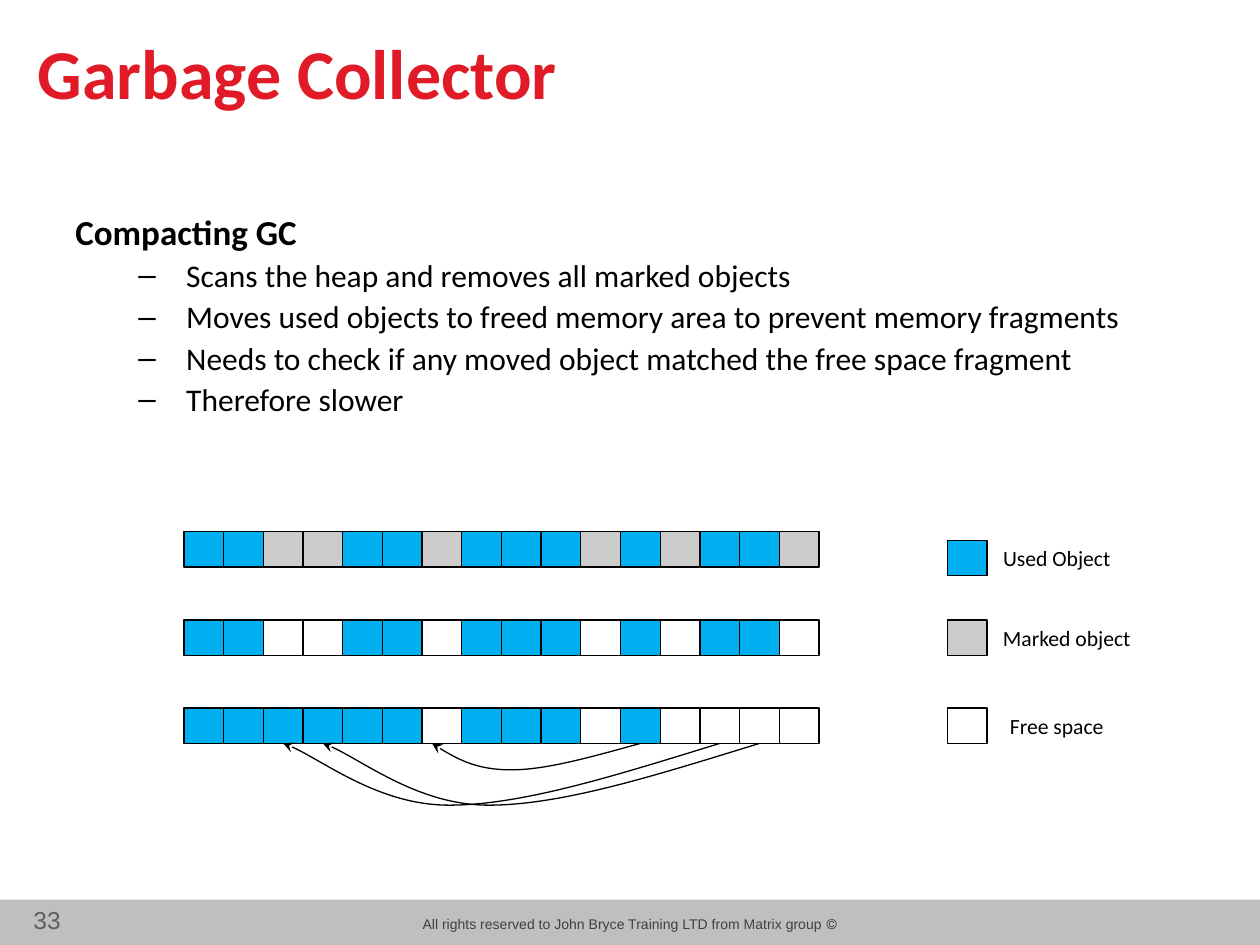
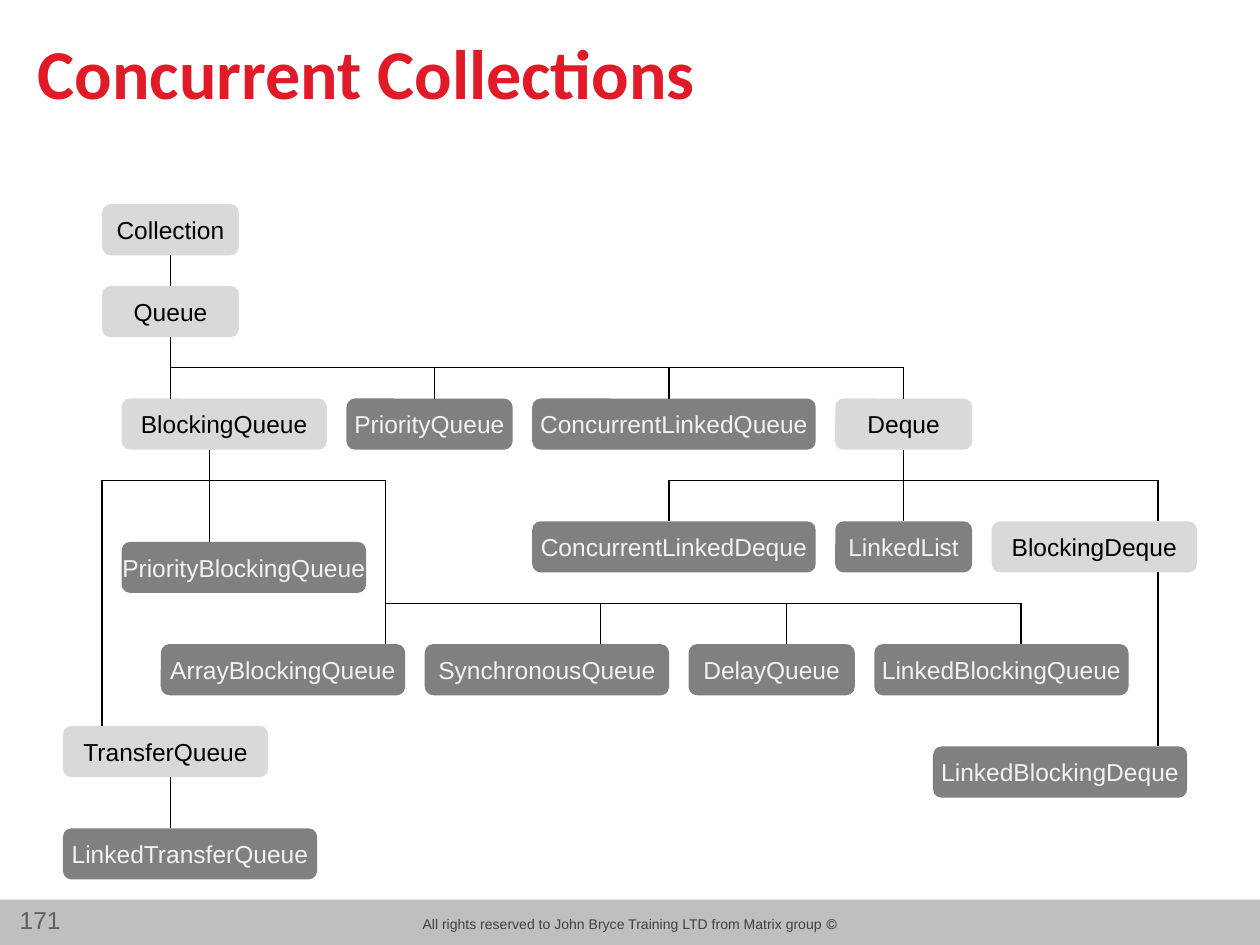
from lxml.etree import SubElement
from pptx import Presentation
from pptx.dml.color import RGBColor
from pptx.enum.shapes import MSO_CONNECTOR as Wire, MSO_SHAPE as Preset
from pptx.enum.text import MSO_ANCHOR as Anchor, MSO_AUTO_SIZE as Fit, PP_ALIGN as Align
from pptx.oxml.ns import qn
from pptx.util import Inches, Pt

COLOURS = {
    "title": "E01A26", "ink": "000000", "band": "BFBFBF", "rights": "404040",
    "number": "606060", "used": "00B0F0", "marked": "CCCCCC", "free": "FFFFFF",
    "interface": "D9D9D9", "class": "808080", "class_text": "F2F2F2",
}
RIGHTS = "© All rights reserved to John Bryce Training LTD from Matrix group"
BOTTOM, TOP = 2, 0

HEAP_LEFT, HEAP_TOP, HEAP_STEP = 1.46, 4.22, 0.7
CELL, CELL_HEIGHT = 5.04 / 16, 0.28
STATES = {"U": "used", "M": "marked", "F": "free"}
HEAP_MARKED = "UUMMUUMUUUMUMUUM"
HEAPS = [HEAP_MARKED, HEAP_MARKED.replace("M", "F"), "UUUUUUFUUUFUFFFF"]
LEGEND = [("used", "Used Object", 4.29, 8.23),
          ("marked", "Marked object", 4.92, 8.31),
          ("free", "Free space", 5.62, 8.23)]
MOVES = [(13.5, 2.5, 0.49, (0.07, 0.16)),
         (14.5, 3.5, 0.49, (0.07, 0.16)),
         (11.5, 6.25, 0.21, (0.1, 0.52))]
GC_POINTS = [
    "Scans the heap and removes all marked objects",
    "Moves used objects to freed memory area to prevent memory fragments",
    "Needs to check if any moved object matched the free space fragment",
    "Therefore slower",
]

TREE_LEFT, TREE_TOP = 0.5, 1.62
COLUMN, ROW = 9 / 116, 5.36 / 66
NODE_ROWS = 5
INTERFACES = [
    ("Collection", 4, 0, 14), ("Queue", 4, 8, 14), ("BlockingQueue", 6, 19, 21),
    ("Deque", 79, 19, 14), ("BlockingDeque", 95, 31, 21), ("TransferQueue", 0, 51, 21),
]
CLASSES = [
    ("PriorityQueue", 29, 19, 17), ("ConcurrentLinkedQueue", 48, 19, 29),
    ("ConcurrentLinkedDeque", 48, 31, 29), ("LinkedList", 79, 31, 14),
    ("PriorityBlockingQueue", 6, 33, 25), ("ArrayBlockingQueue", 10, 43, 25),
    ("SynchronousQueue", 37, 43, 25), ("DelayQueue", 64, 43, 17),
    ("LinkedBlockingQueue", 83, 43, 26), ("LinkedBlockingDeque", 89, 53, 26),
    ("LinkedTransferQueue", 0, 61, 26),
]
BRANCHES = [
    (("Collection", BOTTOM), ("Queue", TOP)),
    (("Queue", BOTTOM), (11, 19)),
    ((11, 16), (86, 16)),
    ((38, 16), (38, 19)),
    ((62, 16), (62, 19)),
    ((86, 16), ("Deque", TOP)),
    ((15, 24), (15, 33)),
    ((4, 27), (33, 27)),
    ((4, 27), (4, 51)),
    ((33, 27), (33, 43)),
    (("Deque", BOTTOM), ("LinkedList", TOP)),
    ((62, 27), (112, 27)),
    ((62, 27), (62, 31)),
    ((112, 27), (112, 31)),
    ((112, 36), (112, 53)),
    ((33, 39), (98, 39)),
    ((55, 39), (55, 43)),
    ((74, 39), (74, 43)),
    ((98, 39), (98, 43)),
    ((11, 56), (11, 61)),
]


def colour(name):
    """Return the named colour."""
    return RGBColor.from_string(COLOURS[name])


def style(paragraph, font, size, ink="ink", bold=False, align=Align.LEFT):
    """Format a whole paragraph."""
    paragraph.alignment = align
    paragraph.font.name = font
    paragraph.font.size = Pt(size)
    paragraph.font.bold = bold
    paragraph.font.color.rgb = colour(ink)


def draw_line(line):
    """Make a line thin and black."""
    line.color.rgb = colour("ink")
    line.width = Pt(0.75)


def add_block(slide, preset, box, fill, outlined=False):
    """Add a filled preset shape, with a thin black line if outlined."""
    block = slide.shapes.add_shape(preset, *map(Inches, box))
    block.shadow.inherit = False
    block.fill.solid()
    block.fill.fore_color.rgb = colour(fill)
    if outlined:
        draw_line(block.line)
    else:
        block.line.fill.background()
    return block


def add_label(slide, preset, box, fill, text, font, size, ink="ink"):
    """Add a filled shape with one centred line that never wraps."""
    block = add_block(slide, preset, box, fill)
    frame = block.text_frame
    frame.word_wrap = False
    frame.vertical_anchor = Anchor.MIDDLE
    frame.text = text
    style(frame.paragraphs[0], font, size, ink, align=Align.CENTER)
    return block


def add_text(slide, box, text, **look):
    """Add a text box and format its first paragraph."""
    frame = slide.shapes.add_textbox(*map(Inches, box)).text_frame
    frame.word_wrap = True
    frame.text = text
    style(frame.paragraphs[0], **look)
    return frame


def start_slide(deck, title, number):
    """Add a slide with its title, footer band, rights line and number."""
    slide = deck.slides.add_slide(deck.slide_layouts[5])
    heading = slide.shapes.title
    heading.left, heading.top, heading.width, heading.height = map(
        Inches, (0.2, 0.14, 8.03, 0.85))
    frame = heading.text_frame
    frame.text = title
    frame.auto_size = Fit.NONE
    frame.vertical_anchor = Anchor.MIDDLE
    style(frame.paragraphs[0], "Calibri", 40, "title", bold=True)
    add_block(slide, Preset.RECTANGLE, (0, 7.14, 10, 0.36), "band")
    rights = add_text(slide, (3.18, 7.22, 3.64, 0.24), RIGHTS,
                      font="Arial", size=8, ink="rights", align=Align.CENTER)
    rights.paragraphs[0]._p.get_or_add_pPr().set("rtl", "1")
    add_text(slide, (0, 7.13, 0.58, 0.34), str(number),
             font="Arial", size=14, ink="number", align=Align.RIGHT)
    return slide


def add_points(slide, heading, points):
    """Add a bold heading with dashed points under it."""
    frame = add_text(slide, (0.5, 1.62, 9, 5.35), heading,
                     font="Calibri", size=20, bold=True)
    for text in points:
        point = frame.add_paragraph()
        point.text = text
        point.level = 1
        props = point._p.get_or_add_pPr()
        props.set("marL", str(Inches(0.88)))
        props.set("indent", str(Inches(-0.38)))
        SubElement(props, qn("a:buFont")).set("typeface", "Arial")
        SubElement(props, qn("a:buChar")).set("char", "‒")
        point.space_before = Pt(2)
        style(point, "Calibri", 18)


def add_cell(slide, left, top, state):
    """Add one memory cell."""
    add_block(slide, Preset.RECTANGLE, (left, top, CELL, CELL_HEIGHT), state, True)


def add_heap(slide, row, states):
    """Add one row of memory cells."""
    for index, state in enumerate(states):
        add_cell(slide, HEAP_LEFT + index * CELL, HEAP_TOP + row * HEAP_STEP, STATES[state])


def add_legend(slide):
    """Add the key to the cell colours."""
    for state, meaning, top, left in LEGEND:
        add_cell(slide, 7.52, top, state)
        add_label(slide, Preset.RECTANGLE, (left, top, CELL, CELL_HEIGHT), "free",
                  meaning, "Calibri", 12.4)


def add_move(slide, source, target, depth, bend):
    """Add a curved arrow under the last heap, from one cell to another."""
    base = HEAP_TOP + 2 * HEAP_STEP + CELL_HEIGHT
    end, span = HEAP_LEFT + target * CELL, (source - target) * CELL
    shares = [(1, 0), (0.77, 0.5), (0.55, 1), (0.38, 1), (0.22, 1), bend, (0, 0)]
    start, *controls = [(Inches(end + x * span), Inches(base + y * depth)) for x, y in shares]
    builder = slide.shapes.build_freeform(*start)
    builder.add_line_segments(controls, close=False)
    arrow = builder.convert_to_shape()
    arrow.shadow.inherit = False
    arrow.fill.background()
    draw_line(arrow.line)
    SubElement(arrow.line._get_or_add_ln(), qn("a:tailEnd")).set("type", "stealth")
    path = next(arrow._element.iter(qn("a:path")))
    segments = path.findall(qn("a:lnTo"))
    for first in range(0, len(segments), 3):
        curve = SubElement(path, qn("a:cubicBezTo"))
        for segment in segments[first:first + 3]:
            curve.append(segment[0])
            path.remove(segment)


def tree_point(column, row):
    """Return a point of the tree grid in inches."""
    return TREE_LEFT + column * COLUMN, TREE_TOP + row * ROW


def add_node(slide, name, column, row, columns, fill, ink):
    """Add a type of the collection tree."""
    box = (*tree_point(column, row), columns * COLUMN, NODE_ROWS * ROW)
    return add_label(slide, Preset.FLOWCHART_ALTERNATE_PROCESS, box, fill,
                     name, "Arial", 14, ink)


def add_branch(slide, nodes, start, end):
    """Add a line between grid points or node sides."""
    branch = slide.shapes.add_connector(Wire.STRAIGHT, 0, 0, 0, 0)
    if start[0] in nodes:
        branch.begin_connect(nodes[start[0]], start[1])
    else:
        branch.begin_x, branch.begin_y = map(Inches, tree_point(*start))
    if end[0] in nodes:
        branch.end_connect(nodes[end[0]], end[1])
    else:
        branch.end_x, branch.end_y = map(Inches, tree_point(*end))
    draw_line(branch.line)
    SubElement(branch._element.spPr, qn("a:effectLst"))


def build_garbage_collector(deck):
    """Build the slide on the compacting collector."""
    slide = start_slide(deck, "Garbage Collector", 33)
    add_points(slide, "Compacting GC", GC_POINTS)
    for row, states in enumerate(HEAPS):
        add_heap(slide, row, states)
    add_legend(slide)
    for move in MOVES:
        add_move(slide, *move)


def build_collections(deck):
    """Build the slide with the tree of queues."""
    slide = start_slide(deck, "Concurrent Collections", 171)
    nodes = {}
    for kinds, fill, ink in ((INTERFACES, "interface", "ink"), (CLASSES, "class", "class_text")):
        for kind in kinds:
            nodes[kind[0]] = add_node(slide, *kind, fill, ink)
    for start, end in BRANCHES:
        add_branch(slide, nodes, start, end)


def main():
    """Build and save the deck."""
    deck = Presentation()
    deck.slide_width, deck.slide_height = Inches(10), Inches(7.5)
    build_garbage_collector(deck)
    build_collections(deck)
    deck.save("out.pptx")


if __name__ == "__main__":
    main()
